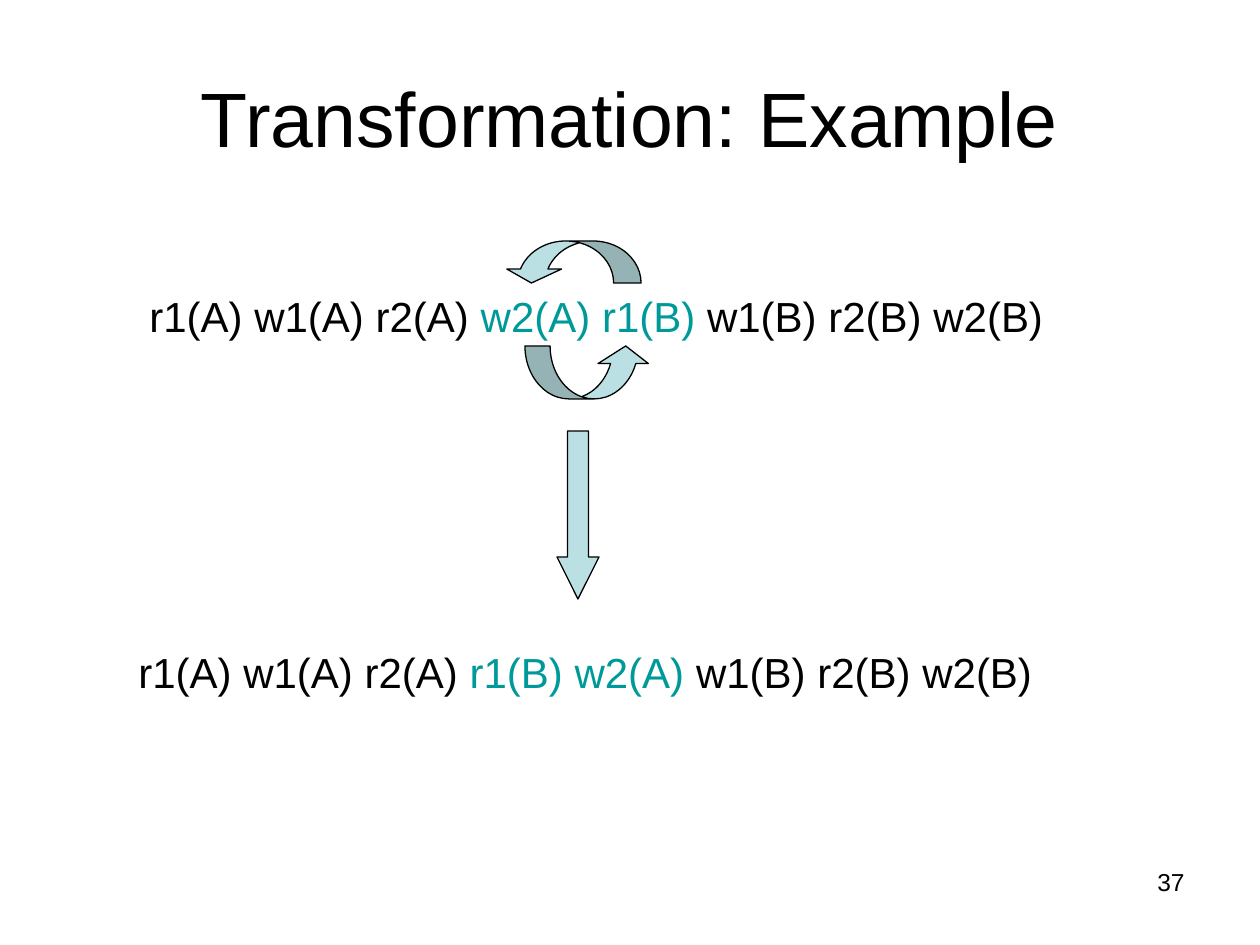
from dataclasses import dataclass

from pptx import Presentation
from pptx.dml.color import RGBColor
from pptx.enum.shapes import MSO_SHAPE
from pptx.enum.text import MSO_ANCHOR, MSO_AUTO_SIZE, PP_ALIGN
from pptx.util import Pt

PX = 914400 / 126
BLACK = RGBColor(0x00, 0x00, 0x00)
TEAL = RGBColor(0x00, 0x99, 0x99)
PALE_BLUE = RGBColor(0xBB, 0xE0, 0xE3)
FONT = "Arial"


@dataclass
class Schedule:
    x: int
    y: int
    swapped: str


@dataclass
class Arrow:
    kind: MSO_SHAPE
    x: int
    y: int
    w: int
    h: int
    adjustments: tuple[float, ...]
    rotation: int = 0


def emu(*lengths: int) -> list[int]:
    return [round(n * PX) for n in lengths]


def curve_adjustments(w: int, h: int) -> tuple[float, ...]:
    """Band a fifth and head two fifths of the width, head a third of the height."""
    return 0.2 * w / h, 0.4 * w / h, 1 / 3


def style_run(r, size: int, color: RGBColor = BLACK) -> None:
    r.font.name = FONT
    r.font.size = Pt(size)
    r.font.color.rgb = color


def add_schedule(slide, schedule: Schedule) -> None:
    box = slide.shapes.add_textbox(*emu(schedule.x, schedule.y, 919, 63))
    tf = box.text_frame
    tf.word_wrap = False
    tf.auto_size = MSO_AUTO_SIZE.SHAPE_TO_FIT_TEXT
    parts = (("r1(A) w1(A) r2(A) ", BLACK), (schedule.swapped, TEAL),
             (" w1(B) r2(B) w2(B)", BLACK))
    for text, color in parts:
        r = tf.paragraphs[0].add_run()
        r.text = text
        style_run(r, 24, color)


def add_arrow(slide, arrow: Arrow) -> None:
    sp = slide.shapes.add_shape(arrow.kind, *emu(arrow.x, arrow.y, arrow.w, arrow.h))
    for i, value in enumerate(arrow.adjustments):
        sp.adjustments[i] = value
    sp.rotation = arrow.rotation
    sp.shadow.inherit = False
    sp.fill.solid()
    sp.fill.fore_color.rgb = PALE_BLUE
    sp.line.color.rgb = BLACK
    sp.line.width = Pt(0.75)


def add_title(slide, text: str) -> None:
    title = slide.shapes.title
    title.left, title.top, title.width, title.height = emu(63, 38, 1134, 158)
    tf = title.text_frame
    tf.text = text
    tf.vertical_anchor = MSO_ANCHOR.MIDDLE
    p = tf.paragraphs[0]
    p.alignment = PP_ALIGN.CENTER
    style_run(p.runs[0], 44)


def add_slide_number(slide, number: str) -> None:
    tf = slide.shapes.add_textbox(*emu(903, 861, 294, 66)).text_frame
    tf.word_wrap = True
    tf.text = number
    p = tf.paragraphs[0]
    p.alignment = PP_ALIGN.RIGHT
    style_run(p.runs[0], 14)


SCHEDULES = (
    Schedule(137, 284, "w2(A) r1(B)"),
    Schedule(126, 640, "r1(B) w2(A)"),
)
ARROWS = (
    Arrow(MSO_SHAPE.CURVED_UP_ARROW, 504, 241, 137, 42, curve_adjustments(137, 42), 180),
    Arrow(MSO_SHAPE.CURVED_UP_ARROW, 525, 346, 126, 53, curve_adjustments(126, 53)),
    Arrow(MSO_SHAPE.DOWN_ARROW, 557, 431, 42, 168, (0.5, 1.0)),
)


def main() -> None:
    prs = Presentation()
    prs.slide_width, prs.slide_height = emu(1260, 945)
    slide = prs.slides.add_slide(prs.slide_layouts[5])
    add_slide_number(slide, "37")
    add_title(slide, "Transformation: Example")
    for schedule in SCHEDULES:
        add_schedule(slide, schedule)
    for arrow in ARROWS:
        add_arrow(slide, arrow)
    prs.save("out.pptx")


if __name__ == "__main__":
    main()
